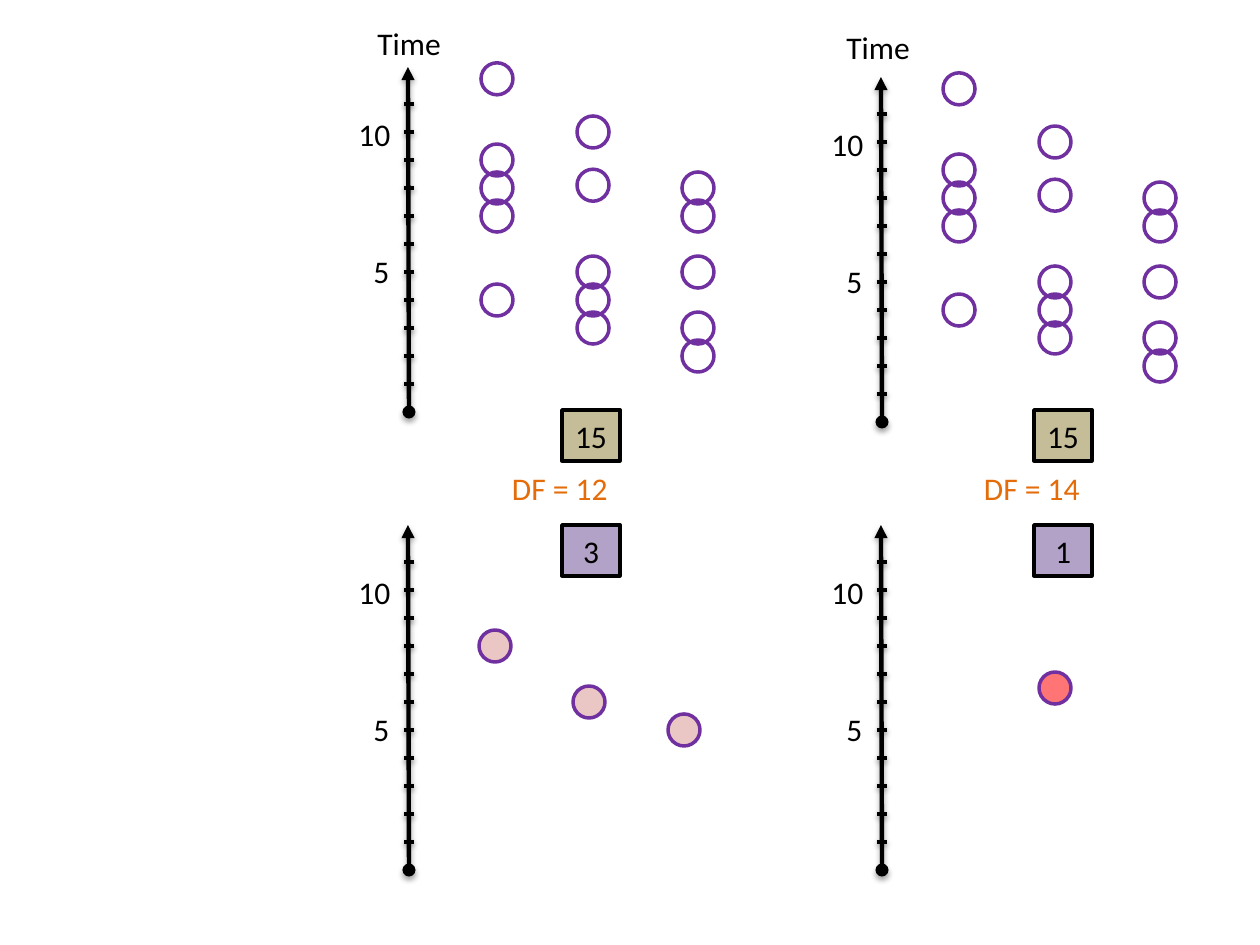
"""Build a slide of time dot plots with their means and degrees of freedom."""
import lxml.etree
import pptx
import pptx.dml.color
import pptx.enum.shapes
import pptx.enum.text
import pptx.oxml
import pptx.oxml.ns
import pptx.util

SCALE = 914400 / 126
STEP = 28
DOT = 32
hex_color = pptx.dml.color.RGBColor.from_string
qn = pptx.oxml.ns.qn
ALIGN = pptx.enum.text.PP_ALIGN
SHAPE = pptx.enum.shapes.MSO_SHAPE

deck = pptx.Presentation()
deck.slide_width = pptx.util.Inches(10)
deck.slide_height = pptx.util.Inches(7.5)
page = deck.slides.add_slide(deck.slide_layouts[6])


def add_line(start, end, width, distance, opacity):
    """Draw a black line with a soft shadow below it."""
    ends = [round(length * SCALE) for length in (*start, *end)]
    line = page.shapes.add_connector(pptx.enum.shapes.MSO_CONNECTOR.STRAIGHT, *ends)
    line.line.color.rgb = hex_color("000000")
    line.line.width = pptx.util.Pt(width)
    line.element.spPr.append(pptx.oxml.parse_xml(
        f'<a:effectLst xmlns:a="{pptx.oxml.ns.nsuri("a")}">'
        f'<a:outerShdw blurRad="40000" dist="{distance}" dir="5400000" rotWithShape="0">'
        f'<a:srgbClr val="000000"><a:alpha val="{opacity}"/></a:srgbClr>'
        '</a:outerShdw></a:effectLst>'))
    return line


def add_text(text, left, top, width, color="000000", align=ALIGN.LEFT, wrap=False, fill=None):
    """Write one line of text, in an outlined rectangle if a fill is given."""
    frame = [round(length * SCALE) for length in (left, top, width, 51)]
    if fill:
        box = page.shapes.add_shape(SHAPE.RECTANGLE, *frame)
        box.shadow.inherit = False
        box.fill.solid()
        box.fill.fore_color.rgb = hex_color(fill)
        box.line.color.rgb = hex_color("000000")
        box.line.width = pptx.util.Pt(2)
    else:
        box = page.shapes.add_textbox(*frame)
    box.text_frame.word_wrap = wrap
    box.text_frame.auto_size = pptx.enum.text.MSO_AUTO_SIZE.SHAPE_TO_FIT_TEXT
    para = box.text_frame.paragraphs[0]
    para.text = text
    para.alignment = align
    para.font.name = "Calibri"
    para.font.size = pptx.util.Pt(18)
    para.font.color.rgb = hex_color(color)


for axis_x, base in ((409, 412), (409, 870), (882, 422), (882, 870)):
    axis = add_line((axis_x, base), (axis_x - 1, base - 345), 2.5, 23000, 35000)
    outline = axis.line._get_or_add_ln()
    lxml.etree.SubElement(outline, qn("a:headEnd")).set("type", "oval")
    lxml.etree.SubElement(outline, qn("a:tailEnd")).set("type", "triangle")
    for tick in range(1, 12):
        y = base - tick * STEP
        add_line((axis_x - 5, y), (axis_x + 5, y), 2, 20000, 38000)
    add_text("5", axis_x - 48, base - 166, 42)
    add_text("10", axis_x - 63, base - 303, 58)

samples = [(4, 7, 8, 9, 11.9), (3, 4, 5, 8.1, 10), (2, 3, 5, 7, 8)]
dots = [
    (column_x, base, value, None)
    for columns, base in (((481, 577, 682), 412), ((943, 1039, 1144), 422))
    for column_x, sample in zip(columns, samples)
    for value in sample
]
dots += [(479, 870, 8, "D99694"), (573, 870, 6, "D99694"), (668, 870, 5, "D99694"),
         (1039, 870, 6.5, "FF0000")]
for left, base, value, fill in dots:
    frame = [round(length * SCALE) for length in (left, base - value * STEP - DOT / 2, DOT, DOT)]
    dot = page.shapes.add_shape(SHAPE.OVAL, *frame)
    dot.shadow.inherit = False
    dot.line.color.rgb = hex_color("7030A0")
    dot.line.width = pptx.util.Pt(2)
    if fill:
        dot.fill.solid()
        dot.fill.fore_color.rgb = hex_color(fill)
        tint = dot.element.spPr.find(qn("a:solidFill"))[0]
        lxml.etree.SubElement(tint, qn("a:alpha")).set("val", "54000")
    else:
        dot.fill.background()

for left, time_left, time_top, freedom, means in (
    (562, 365, 18, "DF = 12", "3"),
    (1034, 834, 22, "DF = 14", "1"),
):
    add_text("Time", time_left, time_top, 89)
    add_text("15", left, 410, 58, align=ALIGN.CENTER, wrap=True, fill="C4BD97")
    add_text(freedom, left - 100, 463, 158, "E46C0A", ALIGN.RIGHT, True)
    add_text(means, left, 525, 58, align=ALIGN.CENTER, wrap=True, fill="B3A2C7")

deck.save("out.pptx")
